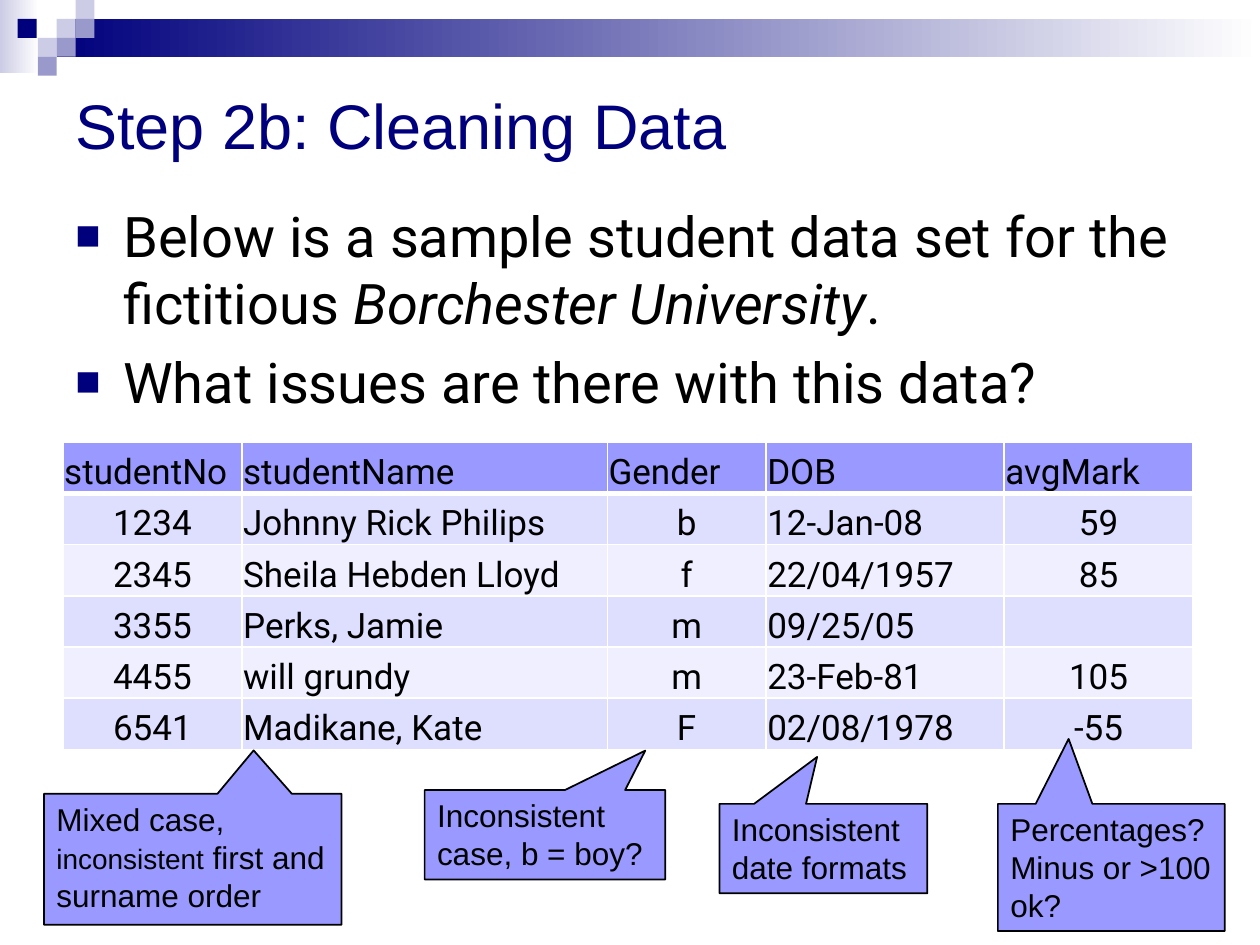
from lxml import etree
from pptx import Presentation
from pptx.dml.color import RGBColor
from pptx.enum.shapes import MSO_SHAPE
from pptx.enum.text import MSO_ANCHOR, MSO_AUTO_SIZE, PP_ALIGN
from pptx.oxml.ns import qn
from pptx.util import Inches, Pt

RECTANGLE = MSO_SHAPE.RECTANGLE
CALLOUT = MSO_SHAPE.RECTANGULAR_CALLOUT
TOP, MIDDLE, BOTTOM = MSO_ANCHOR.TOP, MSO_ANCHOR.MIDDLE, MSO_ANCHOR.BOTTOM
LEFT, CENTER = PP_ALIGN.LEFT, PP_ALIGN.CENTER
GROW = MSO_AUTO_SIZE.SHAPE_TO_FIT_TEXT

NAVY, LILAC, PALE, GREY_BLUE = "00007D", "9999FF", "CCCCE6", "9999CC"
WHITE, BLACK = "FFFFFF", "000000"
BAND_COLORS = ("DEDEFF", "EFEFFF")

GRADIENT_BARS = [((0, 0, 0.31, 0.58), PALE), ((0.45, 0.15, 9.55, 0.3), NAVY)]
SQUARE = 0.15
SQUARES = [
    (0.45, 0.15, PALE), (0.6, 0, PALE), (0.6, 0.15, GREY_BLUE), (0.3, 0.3, PALE),
    (0.14, 0.15, NAVY), (0.45, 0.3, GREY_BLUE), (0.3, 0.45, GREY_BLUE),
]

TITLE = "Step 2b: Cleaning Data"
# Each run is (text, changes to the font)
BULLETS = [
    [("Below is a sample student data set for the fictitious ", {}),
     ("Borchester University", {"italic": True}), (".", {})],
    [("What issues are there with this data?", {})],
]

COLUMNS = [
    ("studentNo", 1.42, CENTER), ("studentName", 2.9, LEFT), ("Gender", 1.26, CENTER),
    ("DOB", 1.89, LEFT), ("avgMark", 1.5, CENTER),
]
STUDENTS = [
    ("1234", "Johnny Rick Philips", "b", "12-Jan-08", "59"),
    ("2345", "Sheila Hebden Lloyd", "f", "22/04/1957", "85"),
    ("3355", "Perks, Jamie", "m", "09/25/05", ""),
    ("4455", "will grundy", "m", "23-Feb-81", "105"),
    ("6541", "Madikane, Kate", "F", "02/08/1978", "-55"),
]
ROW_HEIGHT = 2.44 / (len(STUDENTS) + 1)

# Box, pointer tip relative to the centre, runs
CALLOUTS = [
    ((0.35, 6.3, 2.36, 1.04), (0.205, -0.831),
     [("Mixed case, ", {}), ("inconsistent", {"size": 16}), (" first and surname order", {})]),
    ((3.37, 6.27, 1.91, 0.71), (0.417, -0.941), [("Inconsistent case, b = boy?", {})]),
    ((5.71, 6.38, 1.65, 0.71), (-0.03, -1.025), [("Inconsistent date formats", {})]),
    ((7.92, 6.38, 1.8, 1.01), (-0.188, -1.011), [("Percentages? Minus or >100 ok?", {})]),
]


def rgb(color):
    return RGBColor.from_string(color)


def add_runs(paragraph, runs, font_name, size, color):
    for text, changes in runs:
        run = paragraph.add_run()
        run.text = text
        font = run.font
        font.name = font_name
        font.size = Pt(changes.get("size", size))
        font.italic = changes.get("italic")
        font.color.rgb = rgb(color)


def add_shape(slide, kind, box, color=None):
    shape = slide.shapes.add_shape(kind, *map(Inches, box))
    shape.shadow.inherit = False
    shape.line.fill.background()
    if color:
        shape.fill.solid()
        shape.fill.fore_color.rgb = rgb(color)
    return shape


def add_text_box(slide, box, anchor):
    text_frame = slide.shapes.add_textbox(*map(Inches, box)).text_frame
    text_frame.word_wrap = True
    text_frame.vertical_anchor = anchor
    return text_frame


def add_header_band(slide):
    for box, color in GRADIENT_BARS:
        fill = add_shape(slide, RECTANGLE, box).fill
        fill.gradient()
        fill.gradient_angle = 0
        for stop, position, stop_color in zip(fill.gradient_stops, (0, 1), (color, WHITE)):
            stop.position = position
            stop.color.rgb = rgb(stop_color)
    for left, top, color in SQUARES:
        add_shape(slide, RECTANGLE, (left, top, SQUARE, SQUARE), color)


def set_square_bullet(paragraph):
    properties = paragraph._p.get_or_add_pPr()
    properties.set("marL", str(Inches(0.38)))
    properties.set("indent", str(-Inches(0.38)))
    bullet_color = etree.SubElement(properties, qn("a:buClr"))
    etree.SubElement(bullet_color, qn("a:srgbClr"), val=NAVY)
    etree.SubElement(properties, qn("a:buSzPct"), val="75000")
    etree.SubElement(properties, qn("a:buFont"), typeface="Arial")
    etree.SubElement(properties, qn("a:buChar"), char="■")


def set_borders(cell, bottom_width):
    properties = cell._tc.get_or_add_tcPr()
    widths = {"a:lnL": 1, "a:lnR": 1, "a:lnT": 1, "a:lnB": bottom_width}
    for position, (tag, width) in enumerate(widths.items()):
        line = etree.Element(qn(tag), w=str(Pt(width)))
        fill = etree.SubElement(line, qn("a:solidFill"))
        etree.SubElement(fill, qn("a:srgbClr"), val=WHITE)
        properties.insert(position, line)


def fill_cell(cell, text, alignment, color, bottom_width):
    cell.fill.solid()
    cell.fill.fore_color.rgb = rgb(color)
    cell.margin_left = cell.margin_right = cell.margin_top = Inches(0.01)
    cell.margin_bottom = 0
    cell.vertical_anchor = BOTTOM
    paragraph = cell.text_frame.paragraphs[0]
    paragraph.alignment = alignment
    if text:
        add_runs(paragraph, [(text, {})], "Roboto", 20, BLACK)
    set_borders(cell, bottom_width)


def add_student_table(slide):
    headings, widths, alignments = zip(*COLUMNS)
    rows = [headings, *STUDENTS]
    box = (0.5, 3.51, sum(widths), ROW_HEIGHT * len(rows))
    table = slide.shapes.add_table(len(rows), len(widths), *map(Inches, box)).table
    for column, width in zip(table.columns, widths):
        column.width = Inches(width)
    for row_index, row in enumerate(rows):
        is_header = row_index == 0
        color = LILAC if is_header else BAND_COLORS[(row_index - 1) % 2]
        for column_index, text in enumerate(row):
            alignment = LEFT if is_header else alignments[column_index]
            fill_cell(table.cell(row_index, column_index), text, alignment,
                      color, 3 if is_header else 1)


def add_callout(slide, box, tip, runs):
    shape = add_shape(slide, CALLOUT, box, LILAC)
    shape.line.color.rgb = rgb(BLACK)
    shape.line.width = Pt(1)
    shape.adjustments[0], shape.adjustments[1] = tip
    text_frame = shape.text_frame
    text_frame.word_wrap = True
    text_frame.auto_size = GROW
    text_frame.vertical_anchor = TOP
    paragraph = text_frame.paragraphs[0]
    paragraph.alignment = LEFT
    add_runs(paragraph, runs, "Arial", 18, BLACK)


def main():
    presentation = Presentation()
    presentation.slide_width, presentation.slide_height = Inches(10), Inches(7.5)
    slide = presentation.slides.add_slide(presentation.slide_layouts[6])

    add_header_band(slide)
    title_frame = add_text_box(slide, (0.5, 0.5, 9, 0.97), MIDDLE)
    add_runs(title_frame.paragraphs[0], [(TITLE, {})], "Arial", 36, NAVY)

    body_frame = add_text_box(slide, (0.5, 1.55, 9, 5.28), TOP)
    for index, runs in enumerate(BULLETS):
        paragraph = body_frame.add_paragraph() if index else body_frame.paragraphs[0]
        paragraph.space_before = Pt(6.4)
        set_square_bullet(paragraph)
        add_runs(paragraph, runs, "Roboto", 32, BLACK)

    add_student_table(slide)
    for box, tip, runs in CALLOUTS:
        add_callout(slide, box, tip, runs)
    presentation.save("out.pptx")


if __name__ == "__main__":
    main()
